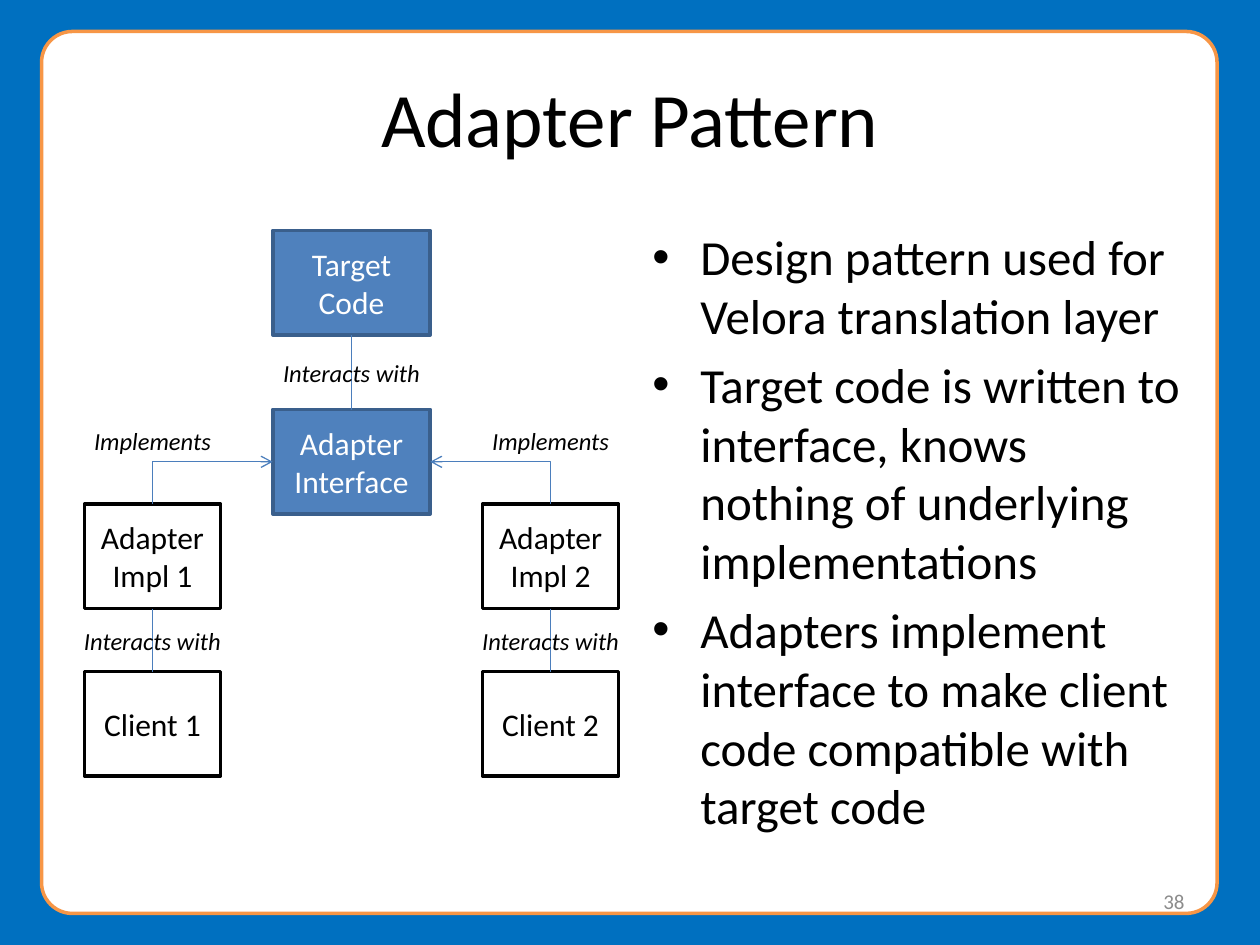
import pptx
import pptx.util
import pptx.dml.color
import pptx.enum.shapes
import pptx.enum.text
import pptx.oxml
import pptx.oxml.ns

Inches = pptx.util.Inches
Pt = pptx.util.Pt
Align = pptx.enum.text.PP_ALIGN
Anchor = pptx.enum.text.MSO_ANCHOR
Shape = pptx.enum.shapes.MSO_SHAPE
Connector = pptx.enum.shapes.MSO_CONNECTOR

TITLE = "Adapter Pattern"
PAGE_NUMBER = "38"
BULLETS = [
    "Design pattern used for Velora translation layer",
    "Target code is written to interface, knows nothing of underlying implementations",
    "Adapters implement interface to make client code compatible with target code",
]
COLUMNS = {"left": 1.21, "middle": 2.79, "right": 4.37}
BOXES = [
    ("Target Code", "middle", 1.83, "core"),
    ("Adapter Interface", "middle", 3.25, "core"),
    ("Adapter Impl 1", "left", 4, "outer"),
    ("Adapter Impl 2", "right", 4, "outer"),
    ("Client 1", "left", 5.33, "outer"),
    ("Client 2", "right", 5.33, "outer"),
]
TOP, LEFT, BOTTOM, RIGHT = range(4)
LINKS = [
    ("Client 1", TOP, "Adapter Impl 1", BOTTOM),
    ("Client 2", TOP, "Adapter Impl 2", BOTTOM),
    ("Adapter Interface", TOP, "Target Code", BOTTOM),
    ("Adapter Interface", LEFT, "Adapter Impl 1", TOP),
    ("Adapter Interface", RIGHT, "Adapter Impl 2", TOP),
]
LABELS = [
    ("Interacts with", "left", 4.92),
    ("Interacts with", "right", 4.92),
    ("Interacts with", "middle", 2.79),
    ("Implements", "left", 3.33),
    ("Implements", "right", 3.33),
]
THEME = {
    "font": "Calibri",
    "background": "0070C0",
    "link": "4B7EBC",
    "panel": {"fill": "FFFFFF", "line": "F79646"},
    "core": {"fill": "4F81BD", "line": "3A5F8C", "text": "FFFFFF", "width": 1.25},
    "outer": {"fill": "FFFFFF", "line": "000000", "text": "000000", "width": 1.08},
    "title": {"size": Pt(44), "color": "000000"},
    "body": {"size": Pt(28), "color": "000000"},
    "box": {"size": Pt(18)},
    "label": {"size": Pt(14), "color": "000000", "italic": True},
    "number": {"size": Pt(12), "color": "8C8C8C"},
}
BOX_HEIGHT = 0.83
LABEL_SIZE = (1.58, 0.34)


def rgb(value):
    return pptx.dml.color.RGBColor.from_string(value)


def apply(target, values):
    for name, value in values.items():
        setattr(target, name, value)


def write(shape, lines, style, align, anchor):
    frame = shape.text_frame
    apply(frame, {"word_wrap": True, "vertical_anchor": anchor})
    for index, line in enumerate(lines):
        para = frame.paragraphs[0] if index == 0 else frame.add_paragraph()
        para.alignment = align
        span = para.add_run()
        span.text = line
        values = {"name": THEME["font"], **style}
        span.font.color.rgb = rgb(values.pop("color"))
        apply(span.font, values)
    return frame.paragraphs


def add_text(page, place, lines, style, align, anchor=Anchor.MIDDLE):
    box = page.shapes.add_textbox(*map(Inches, place))
    return write(box, lines, THEME[style], align, anchor)


def add_panel(page, kind, place, style):
    shape = page.shapes.add_shape(kind, *map(Inches, place))
    shape.shadow.inherit = False
    shape.fill.solid()
    shape.fill.fore_color.rgb = rgb(style["fill"])
    shape.line.color.rgb = rgb(style["line"])
    shape.line.width = Pt(2)
    return shape


def add_child(parent, tag, **attributes):
    child = pptx.oxml.parse_xml(f"<{tag} {pptx.oxml.ns.nsdecls('a')}/>")
    for name, value in attributes.items():
        child.set(name, value)
    parent.append(child)


def add_bullet(para):
    para.space_before = Pt(5.6)
    properties = para._p.get_or_add_pPr()
    properties.set("marL", str(Inches(0.38)))
    properties.set("indent", str(Inches(-0.38)))
    add_child(properties, "a:buFont", typeface="Arial")
    add_child(properties, "a:buChar", char="•")


def add_link(page, start, start_side, end, end_side):
    bent = start_side in (LEFT, RIGHT)
    kind = Connector.ELBOW if bent else Connector.STRAIGHT
    link = page.shapes.add_connector(kind, 0, 0, 0, 0)
    link.begin_connect(start, start_side)
    link.end_connect(end, end_side)
    link.line.color.rgb = rgb(THEME["link"])
    link.line.width = Pt(0.75)
    properties = link._element.spPr
    if bent:
        properties.find(pptx.oxml.ns.qn("a:prstGeom")).set("prst", "bentConnector2")
        add_child(link.line._get_or_add_ln(), "a:headEnd", type="arrow")
    add_child(properties, "a:effectLst")


def main():
    deck = pptx.Presentation()
    apply(deck, {"slide_width": Inches(10), "slide_height": Inches(7.5)})
    page = deck.slides.add_slide(deck.slide_layouts[6])
    page.background.fill.solid()
    page.background.fill.fore_color.rgb = rgb(THEME["background"])

    panel = add_panel(page, Shape.ROUNDED_RECTANGLE, (0.33, 0.25, 9.33, 7), THEME["panel"])
    panel.adjustments[0] = 0.035
    add_text(page, (0.5, 0.3, 9, 1.25), [TITLE], "title", Align.CENTER)
    for para in add_text(page, (5.08, 1.75, 4.42, 4.95), BULLETS, "body", Align.LEFT, Anchor.TOP):
        add_bullet(para)
    add_text(page, (7.17, 6.95, 2.33, 0.4), [PAGE_NUMBER], "number", Align.RIGHT)

    boxes = {}
    for name, column, top, role in BOXES:
        style = THEME[role]
        width = style["width"]
        place = (COLUMNS[column] - width / 2, top, width, BOX_HEIGHT)
        boxes[name] = add_panel(page, Shape.RECTANGLE, place, style)
        font = {**THEME["box"], "color": style["text"]}
        write(boxes[name], [name], font, Align.CENTER, Anchor.MIDDLE)

    for start, start_side, end, end_side in LINKS:
        add_link(page, boxes[start], start_side, boxes[end], end_side)

    for text, column, top in LABELS:
        place = (COLUMNS[column] - LABEL_SIZE[0] / 2, top, *LABEL_SIZE)
        add_text(page, place, [text], "label", Align.CENTER, Anchor.TOP)

    deck.save("out.pptx")


if __name__ == "__main__":
    main()
